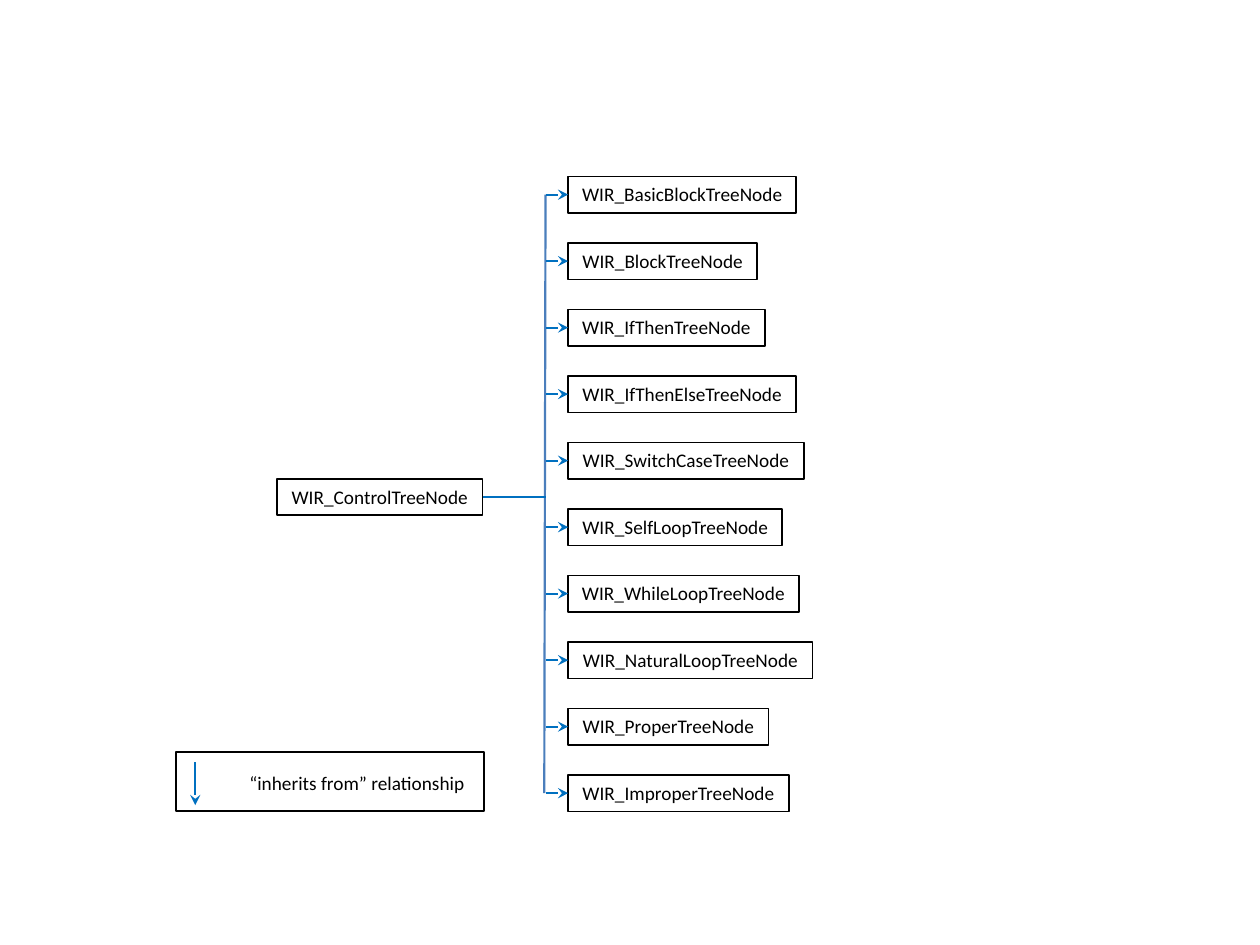
from lxml.etree import SubElement
from pptx import Presentation
from pptx.dml.color import RGBColor
from pptx.enum.shapes import MSO_CONNECTOR, MSO_SHAPE
from pptx.enum.text import MSO_ANCHOR, MSO_AUTO_SIZE, PP_ALIGN
from pptx.oxml.ns import qn
from pptx.util import Inches, Pt

BLACK = RGBColor(0x00, 0x00, 0x00)
WHITE = RGBColor(0xFF, 0xFF, 0xFF)
ARROW_BLUE = RGBColor(0x00, 0x70, 0xC0)
TRUNK_BLUE = RGBColor(0x4B, 0x7E, 0xBC)

NODE_HEIGHT = 0.29
LEFT_SIDE, RIGHT_SIDE = 1, 3

ROOT = ("WIR_ControlTreeNode", 1.63)
# Name and box width of each derived class, from top to bottom
DERIVED = [
    ("WIR_BasicBlockTreeNode", 1.81),
    ("WIR_BlockTreeNode", 1.5),
    ("WIR_IfThenTreeNode", 1.56),
    ("WIR_IfThenElseTreeNode", 1.81),
    ("WIR_SwitchCaseTreeNode", 1.87),
    ("WIR_SelfLoopTreeNode", 1.7),
    ("WIR_WhileLoopTreeNode", 1.83),
    ("WIR_NaturalLoopTreeNode", 1.94),
    ("WIR_ProperTreeNode", 1.59),
    ("WIR_ImproperTreeNode", 1.75),
]


def write_label(shape, text, alignment):
    frame = shape.text_frame
    frame.word_wrap = False
    frame.auto_size = MSO_AUTO_SIZE.SHAPE_TO_FIT_TEXT
    frame.vertical_anchor = MSO_ANCHOR.TOP
    paragraph = frame.paragraphs[0]
    paragraph.alignment = alignment
    run = paragraph.add_run()
    run.text = text
    run.font.name = "Calibri"
    run.font.size = Pt(11)
    run.font.color.rgb = BLACK


def add_box(slide, left, top, width, height):
    box = slide.shapes.add_shape(
        MSO_SHAPE.RECTANGLE,
        Inches(left), Inches(top), Inches(width), Inches(height))
    box.shadow.inherit = False
    box.fill.background()
    box.line.color.rgb = BLACK
    box.line.width = Pt(1)
    return box


def add_node(slide, left, top, width, name):
    node = add_box(slide, left, top, width, NODE_HEIGHT)
    node.fill.solid()
    node.fill.fore_color.rgb = WHITE
    write_label(node, name, PP_ALIGN.CENTER)
    return node


def add_line(slide, start, end, color=ARROW_BLUE, arrow=False):
    line = slide.shapes.add_connector(
        MSO_CONNECTOR.STRAIGHT, *(Inches(value) for value in (*start, *end)))
    line.line.color.rgb = color
    line.line.width = Pt(1.25)
    if arrow:
        SubElement(line.line._get_or_add_ln(), qn("a:tailEnd"), type="stealth")
    SubElement(line._element.spPr, qn("a:effectLst"))
    return line


def draw_hierarchy(slide, left, top, width, height):
    """Draw the root class, the trunk and one branch per derived class."""
    trunk = left + 0.46 * width
    derived_left = trunk + 0.18
    pitch = (height - NODE_HEIGHT) / (len(DERIVED) - 1)
    first_middle = top + NODE_HEIGHT / 2
    last_middle = top + height - NODE_HEIGHT / 2

    add_line(slide, (trunk, first_middle), (trunk - 0.01, last_middle), TRUNK_BLUE)
    for row, (name, node_width) in enumerate(DERIVED):
        node_top = top + row * pitch
        middle = node_top + NODE_HEIGHT / 2
        node = add_node(slide, derived_left, node_top, node_width, name)
        branch = add_line(slide, (trunk, middle), (derived_left, middle), arrow=True)
        branch.end_connect(node, LEFT_SIDE)

    root_name, root_width = ROOT
    root_top = top + 2.4
    root_middle = root_top + NODE_HEIGHT / 2
    root = add_node(slide, left, root_top, root_width, root_name)
    stem = add_line(slide, (left + root_width, root_middle), (trunk, root_middle))
    stem.begin_connect(root, RIGHT_SIDE)


def draw_legend(slide, left, top, width, height):
    arrow_left = left + 0.15
    add_line(slide, (arrow_left, top + 0.08), (arrow_left, top + height - 0.05),
             arrow=True)
    label = slide.shapes.add_textbox(
        Inches(left + 0.48), Inches(top + 0.1), Inches(width - 0.52),
        Inches(NODE_HEIGHT))
    write_label(label, "“inherits from” relationship", PP_ALIGN.LEFT)
    add_box(slide, left, top, width, height)


def main():
    presentation = Presentation()
    presentation.slide_width = Inches(10)
    presentation.slide_height = Inches(7.5)
    slide = presentation.slides.add_slide(presentation.slide_layouts[6])
    draw_hierarchy(slide, left=2.2, top=1.4, width=4.63, height=5.04)
    draw_legend(slide, left=1.4, top=5.97, width=2.44, height=0.47)
    presentation.save("out.pptx")


if __name__ == "__main__":
    main()
